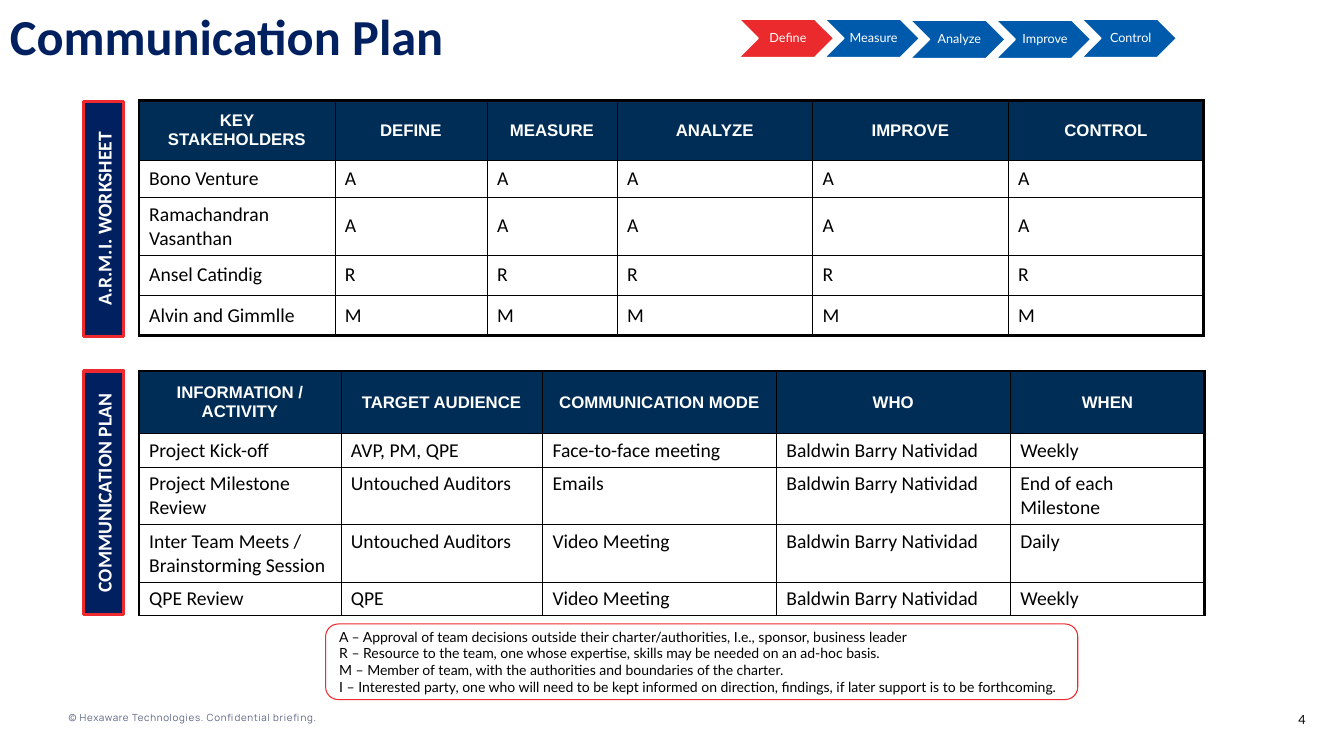
from pptx import Presentation, util as u
from pptx.dml import color
from pptx.enum import shapes, text
from pptx.oxml import parse_xml
from pptx.oxml.ns import nsdecls

NAVY, HEADER, RED, BLUE = "002060", "002D56", "EE292F", "005AAB"
WHITE, BLACK = "FFFFFF", "000000"
LEFT, CENTER, RIGHT = text.PP_ALIGN.LEFT, text.PP_ALIGN.CENTER, text.PP_ALIGN.RIGHT
TOP, MIDDLE = text.MSO_ANCHOR.TOP, text.MSO_ANCHOR.MIDDLE


def rgb(value):
    return color.RGBColor.from_string(value)


class Deck:
    """Draws the styled elements of the current slide."""

    def __init__(self):
        self.prs = Presentation()
        self.prs.slide_width, self.prs.slide_height = u.Inches(13.33), u.Inches(7.5)
        self.s = self.prs.slides.add_slide(self.prs.slide_layouts[6])

    def put_text(self, tf, words, size, font, ink, bold=False, align=LEFT, spacing=0):
        tf.text = words
        for p in tf.paragraphs:
            p.alignment = align
            for r in p.runs:
                r.font.size, r.font.name, r.font.bold = u.Pt(size), font, bold
                r.font.color.rgb = rgb(ink)
                if spacing:
                    r._r.get_or_add_rPr().set("spc", str(int(spacing * 100)))

    def inset(self, tf, left, rest):
        tf.margin_left = u.Inches(left)
        tf.margin_top = tf.margin_right = tf.margin_bottom = u.Inches(rest)

    def label(self, at, words, *style, margin=None, **kw):
        tf = self.s.shapes.add_textbox(*map(u.Inches, at)).text_frame
        tf.word_wrap = True
        if margin is not None:
            self.inset(tf, margin, margin)
        self.put_text(tf, words, *style, **kw)

    def shape(self, kind, at, fill, line, width):
        sp = self.s.shapes.add_shape(kind, *map(u.Inches, at))
        sp.shadow.inherit = False
        if fill:
            sp.fill.solid()
            sp.fill.fore_color.rgb = rgb(fill)
        else:
            sp.fill.background()
        sp.line.color.rgb, sp.line.width = rgb(line), u.Pt(width)
        sp.text_frame.vertical_anchor = MIDDLE
        return sp

    def banner(self, middle, length, words):
        at = (1.03 - length / 2, middle - 0.2, length, 0.4)
        sp = self.shape(shapes.MSO_SHAPE.RECTANGLE, at, NAVY, RED, 2.25)
        sp.rotation = 270
        self.inset(sp.text_frame, 0, 0)
        self.put_text(sp.text_frame, words, 14, "Calibri", WHITE, True, CENTER)

    def step(self, left, top, words, fill):
        at = (left, top, 0.94, 0.38)
        sp = self.shape(shapes.MSO_SHAPE.CHEVRON, at, fill, WHITE, 1)
        self.inset(sp.text_frame, 0.04, 0.01)
        self.put_text(sp.text_frame, words, 9, "Lato", WHITE, align=CENTER)
        sp.text_frame.paragraphs[0].line_spacing = 0.9

    def legend(self, at, lines):
        sp = self.shape(shapes.MSO_SHAPE.FLOWCHART_ALTERNATE_PROCESS, at, None, RED, 0.75)
        sp.text_frame.word_wrap = False
        self.put_text(sp.text_frame, "\n".join(lines), 10, "Lato", BLACK)

    def borders(self, cell, **thick):
        pr = cell._tc.get_or_add_tcPr()
        for side in "LRTB":
            width = u.Pt(2.25 if thick.get(side) else 0.25)
            pr.append(parse_xml(
                f'<a:ln{side} {nsdecls("a")} w="{width}"><a:solidFill>'
                f'<a:srgbClr val="{BLACK}"/></a:solidFill></a:ln{side}>'))

    def table(self, top, widths, heights, rows, anchor, closed):
        box = map(u.Inches, (1.38, top, sum(widths), sum(heights)))
        t = self.s.shapes.add_table(len(rows), len(widths), *box).table
        t.horz_banding = False
        for column, width in zip(t.columns, widths):
            column.width = u.Inches(width)
        for i, (height, row) in enumerate(zip(heights, rows)):
            t.rows[i].height = u.Inches(height)
            for j, words in enumerate(row):
                cell = t.cell(i, j)
                self.borders(cell, L=j == 0, R=j == len(row) - 1, T=i == 0,
                             B=closed and i == len(rows) - 1)
                if i == 0:
                    cell.fill.solid()
                    cell.fill.fore_color.rgb = rgb(HEADER)
                    cell.vertical_anchor = MIDDLE
                    self.put_text(cell.text_frame, words, 12, "Arial", WHITE, True, CENTER)
                else:
                    cell.fill.background()
                    cell.vertical_anchor = anchor
                    self.put_text(cell.text_frame, words, 14, "Calibri", BLACK)


def main():
    d = Deck()
    d.label((12.65, 7.06, 0.3, 0.15), "4", 9, "Lato", BLACK, margin=0, align=RIGHT)
    d.label((0.68, 7.06, 3.04, 0.12), "© Hexaware Technologies. Confidential briefing.",
            7, "Manrope", "5B6383", margin=0, spacing=0.5)
    d.label((0, 0, 13.33, 0.71), "Communication Plan", 36, "Calibri", NAVY, bold=True)

    phases = ["Define", "Measure", "Analyze", "Improve", "Control"]
    roles = [("Bono Venture", "A"), ("Ramachandran Vasanthan", "A"),
             ("Ansel Catindig", "R"), ("Alvin and Gimmlle", "M")]
    stakeholders = [["KEY STAKEHOLDERS"] + [phase.upper() for phase in phases]]
    stakeholders += [[name] + [role] * len(phases) for name, role in roles]
    d.table(1, [1.94, 1.51, 1.29, 1.94, 1.94, 1.94], [0.59, 0.37, 0.57, 0.4, 0.4],
            stakeholders, MIDDLE, True)
    d.banner(2.17, 2.33, "A.R.M.I. WORKSHEET")
    d.banner(4.89, 2.42, "COMMUNICATION PLAN")

    owner = "Baldwin Barry Natividad"
    activities = [
        ["INFORMATION / ACTIVITY", "TARGET AUDIENCE", "COMMUNICATION MODE", "WHO", "WHEN"],
        ["Project Kick-off", "AVP, PM, QPE", "Face-to-face meeting", owner, "Weekly"],
        ["Project Milestone Review", "Untouched Auditors", "Emails", owner,
         "End of each Milestone"],
        ["Inter Team Meets / Brainstorming Session", "Untouched Auditors",
         "Video Meeting", owner, "Daily"],
        ["QPE Review", "QPE", "Video Meeting", owner, "Weekly"],
    ]
    d.table(3.68, [2, 2, 2.32, 2.32, 1.93], [0.62, 0.33, 0.57, 0.57, 0.33],
            activities, TOP, False)

    d.legend((3.23, 6.19, 7.46, 0.75), [
        "A – Approval of team decisions outside their charter/authorities, I.e., sponsor, "
        "business leader",
        "R – Resource to the team, one whose expertise, skills may be needed on an ad-hoc basis.",
        "M – Member of team, with the authorities and boundaries of the charter.",
        "I – Interested party, one who will need to be kept informed on direction, findings, "
        "if later support is to be forthcoming.",
    ])
    for i, phase in enumerate(phases):
        d.step(7.33 + 0.85 * i, 0.2 if i in (2, 3) else 0.19, phase,
               BLUE if i else "EB2A2D")
    d.prs.save("out.pptx")


if __name__ == "__main__":
    main()
